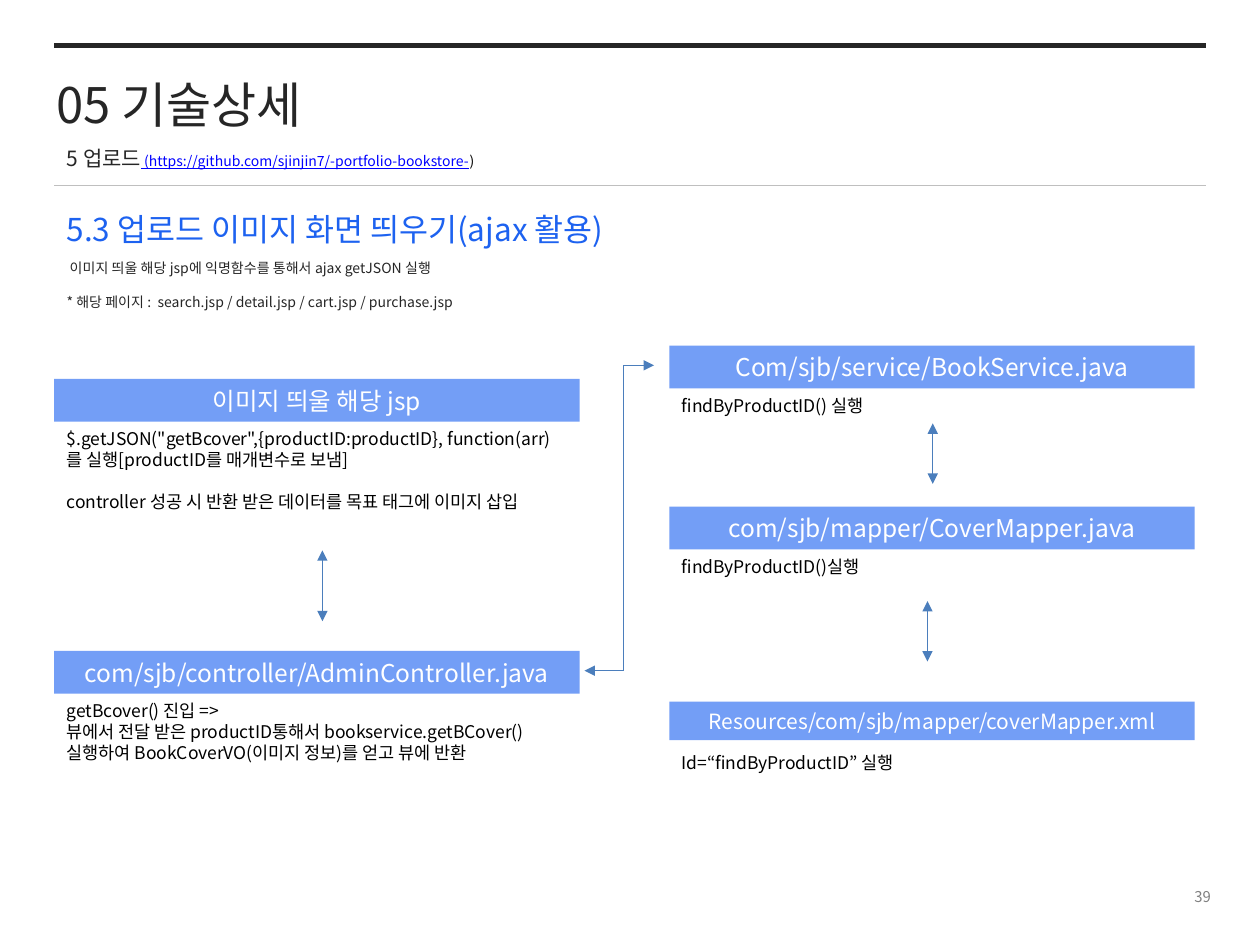
from pptx import Presentation, util as u
from pptx.dml.color import RGBColor
from pptx.enum import shapes, text
from pptx.oxml.ns import qn
from lxml import etree

Pt = u.Pt
FONT = "Noto Sans CJK KR"
COLORS = {
    "ink": "262626", "black": "000000", "white": "FFFFFF", "rule": "BFBFBF",
    "heading": "1D62F0", "bar": "739EF6", "arrow": "4B7EBC",
    "link": "0000FF", "number": "808080",
}
LEFT, RIGHT, COL_W = 31, 382.5, 300.25
LINE = 1.2  # line height as a multiple of the text size


def rgb(name):
    return RGBColor.from_string(COLORS[name])


def format_paragraph(p, size, color, align=text.PP_ALIGN.LEFT, line=None):
    p.alignment = align
    p.line_spacing = Pt(line or round(size * LINE, 1))
    p.font.size = Pt(size)
    p.font.name = FONT
    p.font.color.rgb = rgb(color)
    def_rpr = p._p.pPr.find(qn("a:defRPr"))
    etree.SubElement(def_rpr, qn("a:ea")).set("typeface", FONT)


def fill_text(sp, lines, size, color, align=text.PP_ALIGN.LEFT,
              anchor=text.MSO_ANCHOR.TOP, gap_before=None):
    """Write the lines; gap_before is the index of a line set off by one line."""
    tf = sp.text_frame
    tf.word_wrap = True
    tf.vertical_anchor = anchor
    for i, line in enumerate(lines):
        p = tf.paragraphs[0] if i == 0 else tf.add_paragraph()
        p.text = line
        if i == gap_before:
            p.space_before = Pt(round(size * LINE, 1))
        format_paragraph(p, size, color, align)


def add_text(s, x, y, w, h, lines, size, color, **options):
    sp = s.shapes.add_textbox(Pt(x), Pt(y), Pt(w), Pt(h))
    fill_text(sp, lines, size, color, **options)


def add_bar(s, x, y, label, size=14, h=24.5):
    sp = s.shapes.add_shape(shapes.MSO_SHAPE.RECTANGLE,
                            Pt(x), Pt(y), Pt(COL_W), Pt(h))
    sp.shadow.inherit = False
    sp.fill.solid()
    sp.fill.fore_color.rgb = rgb("bar")
    sp.line.fill.background()
    fill_text(sp, [label], size, "white", text.PP_ALIGN.CENTER,
              text.MSO_ANCHOR.MIDDLE)


def add_line(s, x1, y1, x2, y2, color="arrow", width=0.75, ends=()):
    c = s.shapes.add_connector(shapes.MSO_CONNECTOR.STRAIGHT,
                               Pt(x1), Pt(y1), Pt(x2), Pt(y2))
    c.line.color.rgb = rgb(color)
    c.line.width = Pt(width)
    ln = c.line._get_or_add_ln()
    for end in ends:
        etree.SubElement(ln, qn(f"a:{end}")).set("type", "triangle")
    etree.SubElement(c._element.spPr, qn("a:effectLst"))


def add_title(s):
    sp = s.shapes.title
    sp.left, sp.top, sp.width, sp.height = Pt(25), Pt(39), Pt(544), Pt(41)
    fill_text(sp, ["05 기술상세"], 28, "ink")


def add_subtitle(s):
    sp = s.shapes.add_textbox(Pt(LEFT), Pt(78), Pt(544), Pt(38))
    tf = sp.text_frame
    tf.word_wrap = True
    p = tf.paragraphs[0]
    format_paragraph(p, 8, "black", line=16)
    r = p.add_run()
    r.text = "5 업로드"
    r.font.size = Pt(12)
    r.font.color.rgb = rgb("ink")
    r = p.add_run()
    r.text = " (https://github.com/sjinjin7/-portfolio-bookstore-"
    r.font.underline = True
    r.font.color.rgb = rgb("link")
    p.add_run().text = ")"


def main():
    prs = Presentation()
    prs.slide_width, prs.slide_height = Pt(720), Pt(540)
    s = prs.slides.add_slide(prs.slide_layouts[5])

    # Header and page number
    add_title(s)
    add_line(s, LEFT, 106, 689, 106, "rule")
    add_line(s, LEFT, 26, 689, 26, "ink", 3)
    add_subtitle(s)
    add_text(s, 547, 502.5, 152, 19.5, ["39"], 8.5, "number",
             align=text.PP_ALIGN.RIGHT, anchor=text.MSO_ANCHOR.MIDDLE)

    # Section heading and summary
    add_text(s, LEFT, 116.5, 448, 29,
             ["5.3 업로드 이미지 화면 띄우기(ajax 활용)"], 18, "heading")
    add_text(s, LEFT, 145, 335, 46, [
        " 이미지 띄울 해당 jsp에 익명함수를 통해서 ajax getJSON 실행",
        "* 해당 페이지 :  search.jsp / detail.jsp / cart.jsp / purchase.jsp",
    ], 8, "ink", gap_before=1)

    # Left column: page and controller
    add_bar(s, LEFT, 216.5, "이미지 띄울 해당 jsp")
    add_text(s, LEFT, 241, COL_W, 55, [
        '$.getJSON("getBcover",{productID:productID}, function(arr) '
        "를 실행[productID를 매개변수로 보냄]",
        "controller 성공 시 반환 받은 데이터를 목표 태그에 이미지 삽입",
    ], 10, "black", gap_before=1)
    add_bar(s, LEFT, 372, "com/sjb/controller/AdminController.java")
    add_text(s, LEFT, 396.5, COL_W, 44, [
        "getBcover() 진입 =>",
        "뷰에서 전달 받은 productID통해서 bookservice.getBCover() "
        "실행하여 BookCoverVO(이미지 정보)를 얻고 뷰에 반환",
    ], 10, "black")

    # Right column: service, mapper and query
    add_bar(s, RIGHT, 197.5, "Com/sjb/service/BookService.java")
    add_bar(s, RIGHT, 289.5, "com/sjb/mapper/CoverMapper.java")
    add_bar(s, RIGHT, 401, "Resources/com/sjb/mapper/coverMapper.xml", 12, 22)
    for y, note in ((222.25, "findByProductID() 실행"),
                    (314.5, "findByProductID()실행"),
                    (426, "Id=“findByProductID” 실행")):
        add_text(s, RIGHT, y, COL_W, 19.5, [note], 10, "black")

    # Two-way arrows within the columns
    for x, top, bottom in ((184.25, 314.5, 355), (533, 242, 276.5),
                           (530, 343.5, 378)):
        add_line(s, x, top, x, bottom, ends=("headEnd", "tailEnd"))

    # Route between controller and service
    route_x, service_y, controller_y = 356.5, 208.75, 383.25
    add_line(s, route_x, service_y, route_x, controller_y)
    add_line(s, route_x, controller_y, 334, controller_y, ends=("tailEnd",))
    add_line(s, route_x, service_y, 373.75, service_y, ends=("tailEnd",))

    prs.save("out.pptx")


if __name__ == "__main__":
    main()
